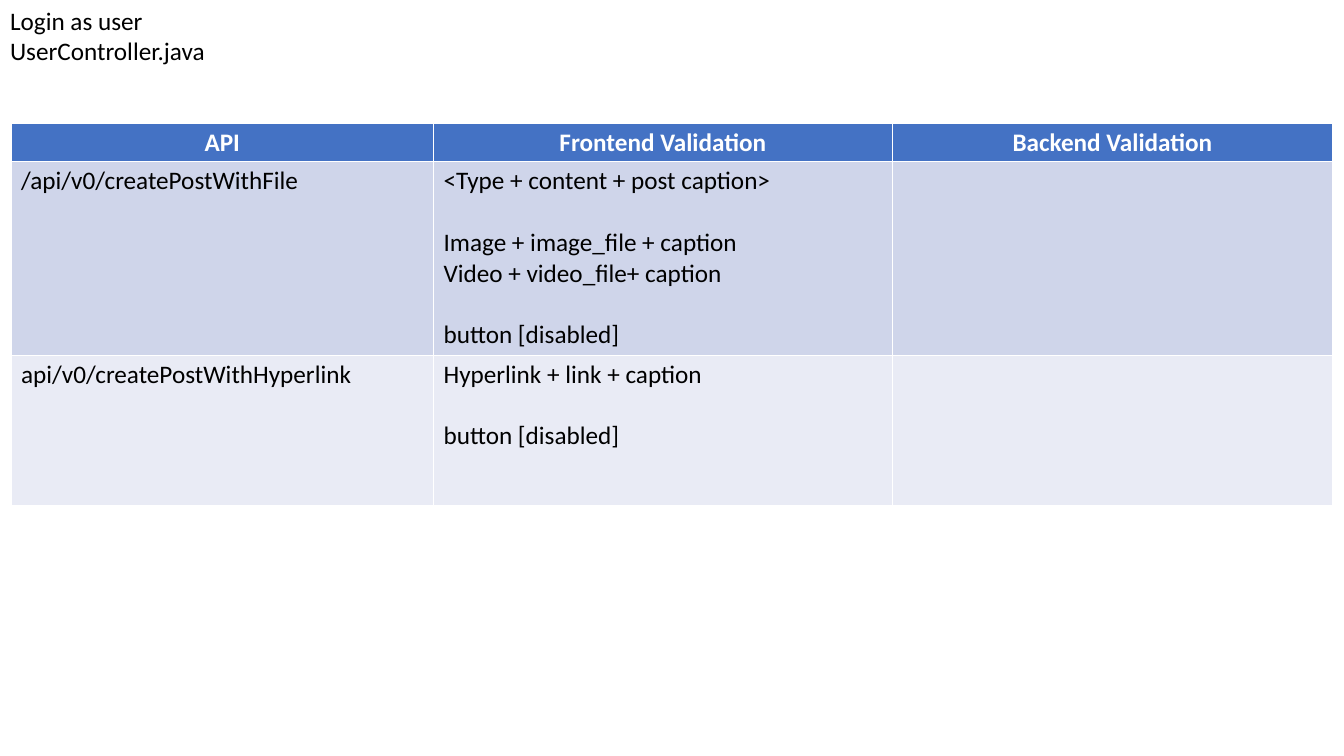
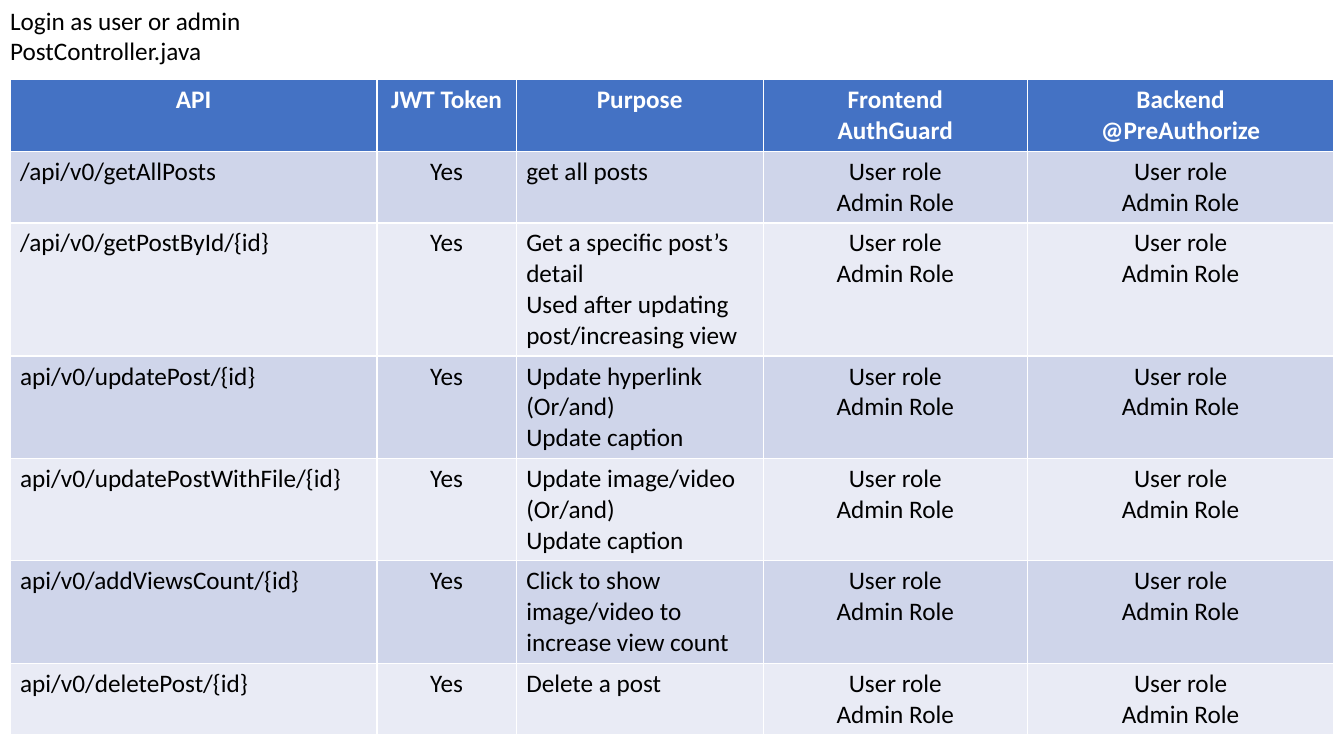
from pptx import Presentation
from pptx.dml.color import RGBColor
from pptx.enum.text import MSO_ANCHOR, MSO_AUTO_SIZE, PP_ALIGN
from pptx.util import Inches, Pt

HEADER_BLUE = RGBColor(0x44, 0x72, 0xC4)
BAND_COLOURS = [RGBColor(0xCF, 0xD5, 0xEA), RGBColor(0xE9, 0xEB, 0xF5)]
WHITE = RGBColor(0xFF, 0xFF, 0xFF)
BLACK = RGBColor(0x00, 0x00, 0x00)
FONT = "Calibri"
TEXT_SIZE = Pt(18)
LINE_GAP = Pt(22)  # one line of text

presentation = Presentation()
presentation.slide_width = Inches(13.33)
presentation.slide_height = Inches(7.5)
title_only = presentation.slide_layouts[5]


def write_text(frame, text, colour=BLACK, bold=False, align=PP_ALIGN.LEFT):
    """One paragraph per line; an empty line becomes space before the next."""
    gap = Pt(0)
    paragraph = None
    for line in text.split("\n"):
        if not line:
            gap = LINE_GAP
            continue
        paragraph = frame.add_paragraph() if paragraph else frame.paragraphs[0]
        paragraph.alignment = align
        paragraph.space_before = gap
        gap = Pt(0)
        run = paragraph.add_run()
        run.text = line
        run.font.name = FONT
        run.font.size = TEXT_SIZE
        run.font.bold = bold
        run.font.color.rgb = colour


# Content of each slide
ROLES = "User role\nAdmin Role"
post_calls = [
    ("/api/v0/getAllPosts", "get all posts"),
    ("/api/v0/getPostById/{id}",
     "Get a specific post’s detail\nUsed after updating post/increasing view"),
    ("api/v0/updatePost/{id}", "Update hyperlink\n(Or/and)\nUpdate caption"),
    ("api/v0/updatePostWithFile/{id}", "Update image/video\n(Or/and)\nUpdate caption"),
    ("api/v0/addViewsCount/{id}", "Click to show image/video to increase view count"),
    ("api/v0/deletePost/{id}", "Delete a post"),
]
pages = [
    {
        "title": "Login as user\nUserController.java",
        "left": 0.11, "top": 1.22, "margin": 0.04,
        "columns": [4.19, 4.55, 4.37],
        "heights": [0.37, 1.92, 1.49],
        "centred": [],
        "rows": [
            ("API", "Frontend Validation", "Backend Validation"),
            ("/api/v0/createPostWithFile",
             "<Type + content + post caption>\n\nImage + image_file + caption\n"
             "Video + video_file+ caption\n\nbutton [disabled]", ""),
            ("api/v0/createPostWithHyperlink",
             "Hyperlink + link + caption\n\nbutton [disabled]", ""),
        ],
    },
    {
        "title": "Login as user or admin\nPostController.java",
        "left": 0.1, "top": 0.79, "margin": 0.05,
        "columns": [3.64, 1.38, 2.45, 2.62, 3.04],
        "heights": [0.7, 0.7, 1.3, 1, 1, 1, 0.7],
        "centred": [1, 3, 4],
        "rows": [("API", "JWT Token", "Purpose", "Frontend\nAuthGuard",
                  "Backend\n@PreAuthorize")]
                + [(call, "Yes", purpose, ROLES, ROLES) for call, purpose in post_calls],
    },
]

for page in pages:
    slide = presentation.slides.add_slide(title_only)

    # Title in the top left corner
    title = slide.shapes.title
    title.left, title.top = 0, 0
    title.width, title.height = presentation.slide_width // 2, Inches(0.71)
    title.text_frame.auto_size = MSO_AUTO_SIZE.NONE
    title.text_frame.vertical_anchor = MSO_ANCHOR.TOP
    write_text(title.text_frame, page["title"])

    # Table of calls
    columns, heights = page["columns"], page["heights"]
    table = slide.shapes.add_table(
        len(heights), len(columns), Inches(page["left"]), Inches(page["top"]),
        Inches(sum(columns)), Inches(sum(heights))).table
    for column, width in zip(table.columns, columns):
        column.width = Inches(width)
    for row, height in zip(table.rows, heights):
        row.height = Inches(height)

    for row_index, texts in enumerate(page["rows"]):
        is_header = row_index == 0
        for column_index, text in enumerate(texts):
            cell = table.cell(row_index, column_index)
            cell.margin_top = cell.margin_bottom = Inches(page["margin"])
            cell.fill.solid()
            cell.fill.fore_color.rgb = (
                HEADER_BLUE if is_header else BAND_COLOURS[(row_index - 1) % 2])
            is_centred = is_header or column_index in page["centred"]
            write_text(cell.text_frame, text,
                       colour=WHITE if is_header else BLACK, bold=is_header,
                       align=PP_ALIGN.CENTER if is_centred else PP_ALIGN.LEFT)

presentation.save("out.pptx")
